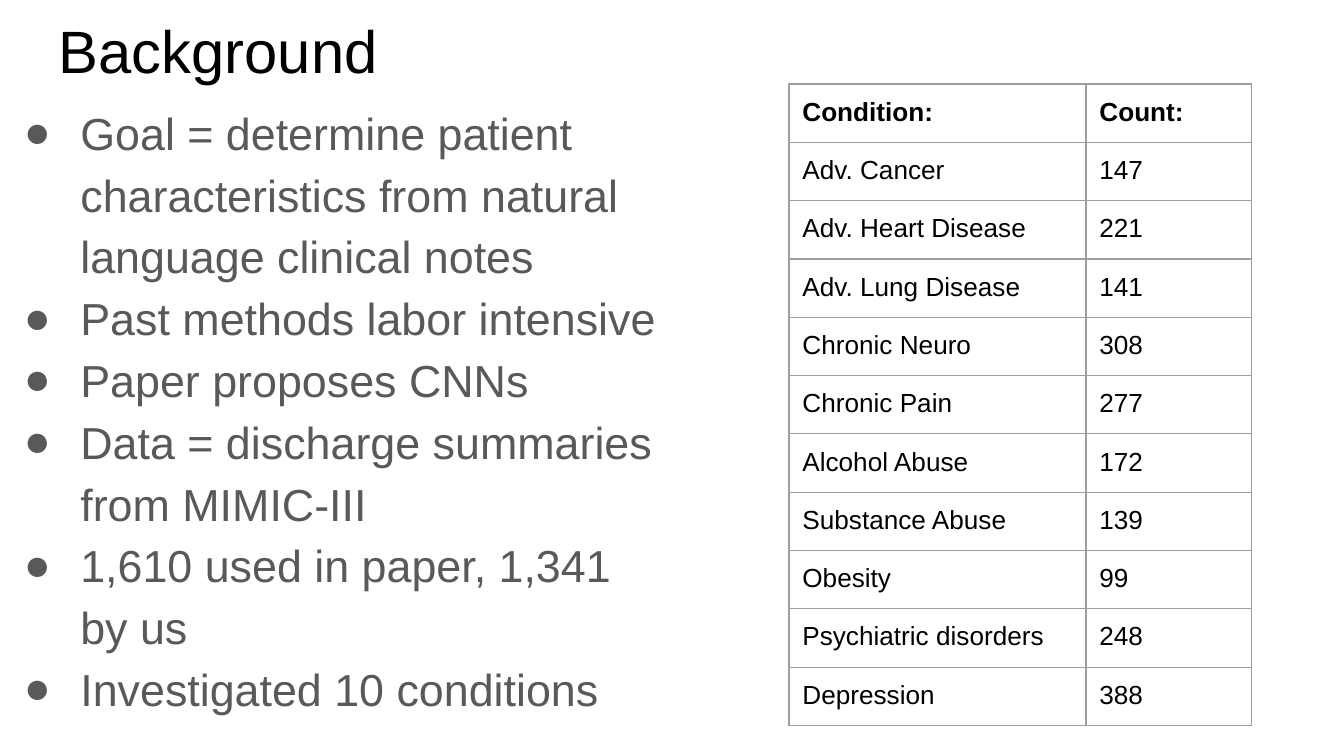
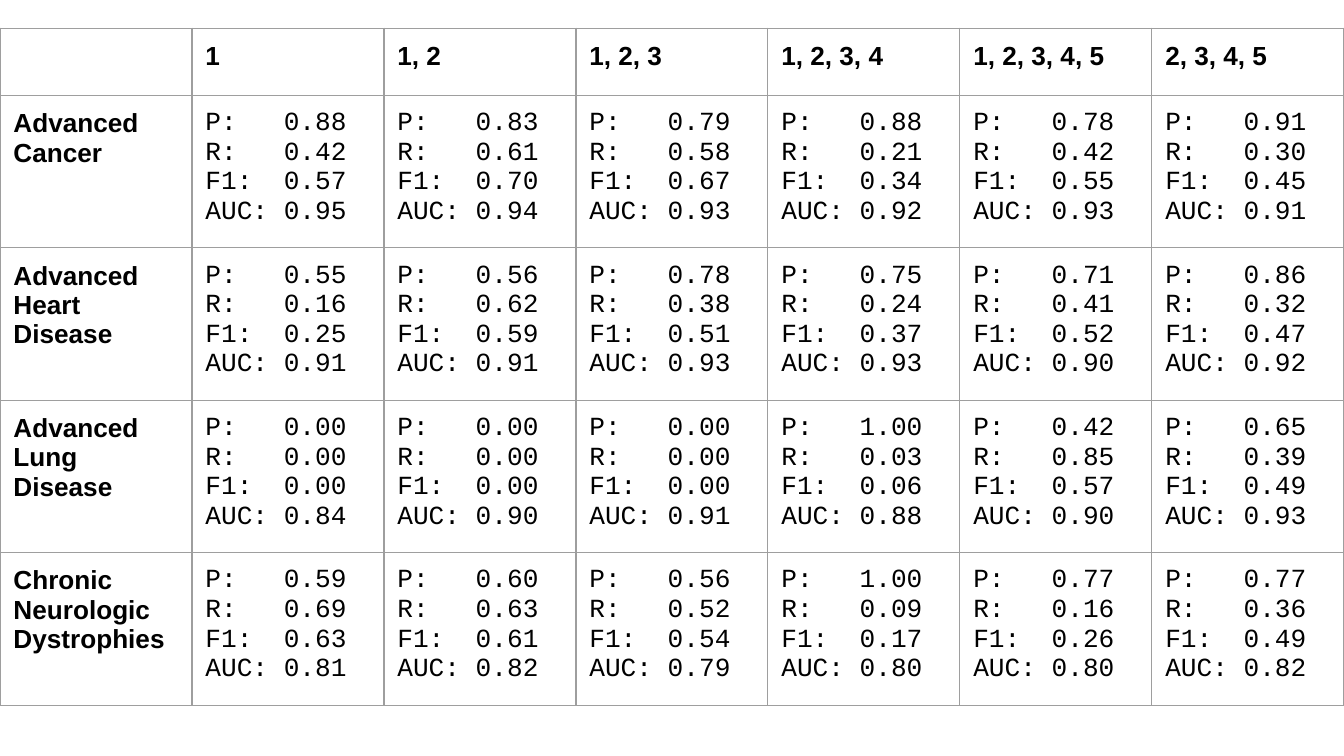
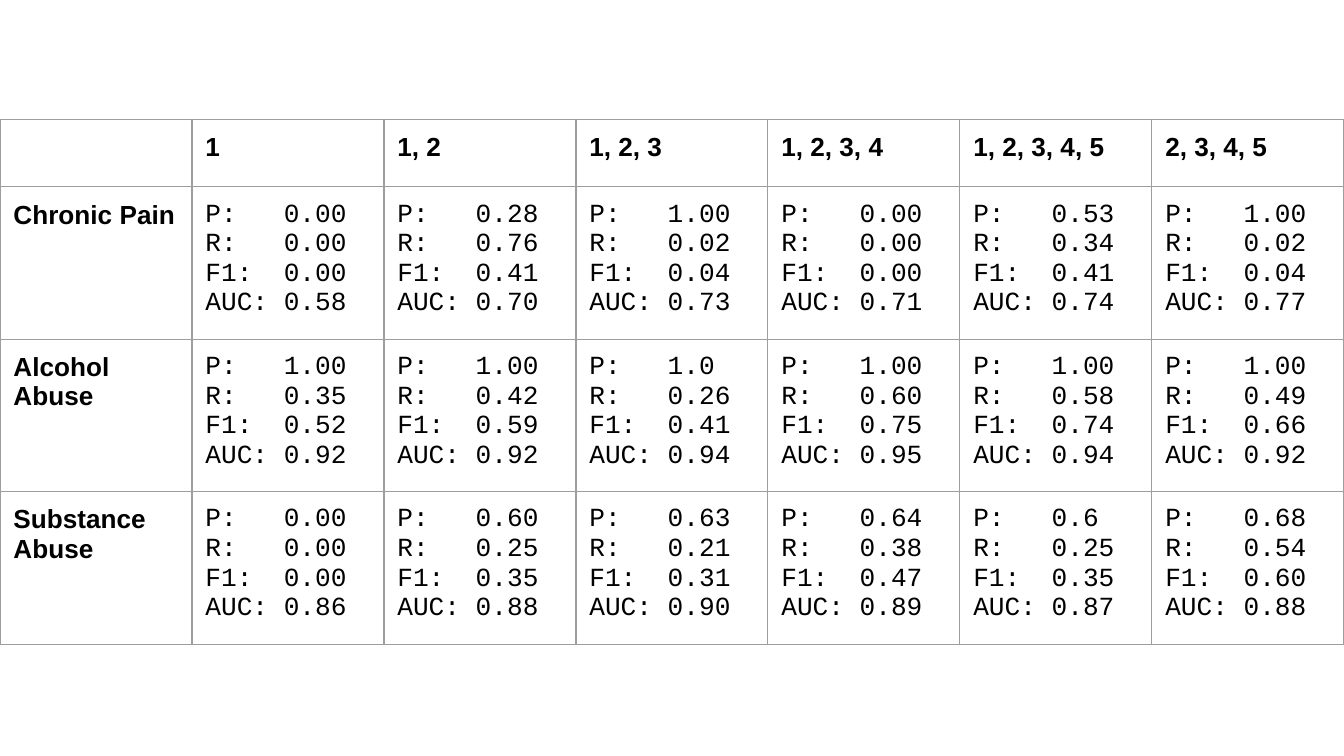
from dataclasses import dataclass
from typing import Optional

from lxml.etree import SubElement
from pptx import Presentation
from pptx.dml.color import RGBColor
from pptx.oxml import parse_xml
from pptx.oxml.ns import nsdecls, qn
from pptx.util import Emu, Inches, Pt

BLACK = RGBColor(0x00, 0x00, 0x00)
GRAY = RGBColor(0x59, 0x59, 0x59)
RULE = RGBColor(0x9E, 0x9E, 0x9E)

SANS, MONO = "Arial", "Courier New"
WIDTH, HEIGHT = Inches(10), Inches(5.625)
COLS, ROWS = 100, 90
INSET = Inches(0.1)
BODY_INDENT, BODY_HANG = 5, 4.2
VALUE_TAB = 5.83  # five monospaced characters at 14 pt
METRICS = ("P:", "R:", "F1:", "AUC:")


def across(cols: float) -> Emu:
    return Emu(round(WIDTH * cols / COLS))


def down(rows: float) -> Emu:
    return Emu(round(HEIGHT * rows / ROWS))


@dataclass(frozen=True)
class Box:
    col: float
    row: float
    cols: float
    rows: float


@dataclass(frozen=True)
class Grid:
    """Place of a table, its column widths and its least row height."""
    col: float
    row: float
    widths: tuple[float, ...]
    row_height: float


@dataclass(frozen=True)
class Cell:
    lines: tuple[str, ...]
    bold: bool = False
    font: str = SANS
    tab: Optional[float] = None


TITLE = Box(3.4, 0, 46.6, 10)
BODY = Box(0, 10, 50, 80)
COUNT_GRID = Grid(58.7, 10, (22.1, 12.3), 6.69)
RESULT_WIDTHS = (COLS / 7,) * 7
RESULT_ROW = 7.2

POINTS = (
    "Goal = determine patient characteristics from natural language clinical notes",
    "Past methods labor intensive",
    "Paper proposes CNNs",
    "Data = discharge summaries from MIMIC-III",
    "1,610 used in paper, 1,341 by us",
    "Investigated 10 conditions",
)

COUNTS = (
    ("Adv. Cancer", "147"),
    ("Adv. Heart Disease", "221"),
    ("Adv. Lung Disease", "141"),
    ("Chronic Neuro", "308"),
    ("Chronic Pain", "277"),
    ("Alcohol Abuse", "172"),
    ("Substance Abuse", "139"),
    ("Obesity", "99"),
    ("Psychiatric disorders", "248"),
    ("Depression", "388"),
)

WIDTH_SETS = ("1", "1, 2", "1, 2, 3", "1, 2, 3, 4", "1, 2, 3, 4, 5", "2, 3, 4, 5")

# Each entry lists P, R, F1 and AUC for one of the sets above.
DISEASE_SCORES = {
    "Advanced Cancer": (
        "0.88 0.42 0.57 0.95", "0.83 0.61 0.70 0.94", "0.79 0.58 0.67 0.93",
        "0.88 0.21 0.34 0.92", "0.78 0.42 0.55 0.93", "0.91 0.30 0.45 0.91"),
    "Advanced Heart Disease": (
        "0.55 0.16 0.25 0.91", "0.56 0.62 0.59 0.91", "0.78 0.38 0.51 0.93",
        "0.75 0.24 0.37 0.93", "0.71 0.41 0.52 0.90", "0.86 0.32 0.47 0.92"),
    "Advanced Lung Disease": (
        "0.00 0.00 0.00 0.84", "0.00 0.00 0.00 0.90", "0.00 0.00 0.00 0.91",
        "1.00 0.03 0.06 0.88", "0.42 0.85 0.57 0.90", "0.65 0.39 0.49 0.93"),
    "Chronic Neurologic Dystrophies": (
        "0.59 0.69 0.63 0.81", "0.60 0.63 0.61 0.82", "0.56 0.52 0.54 0.79",
        "1.00 0.09 0.17 0.80", "0.77 0.16 0.26 0.80", "0.77 0.36 0.49 0.82"),
}
PAIN_ABUSE_SCORES = {
    "Chronic Pain": (
        "0.00 0.00 0.00 0.58", "0.28 0.76 0.41 0.70", "1.00 0.02 0.04 0.73",
        "0.00 0.00 0.00 0.71", "0.53 0.34 0.41 0.74", "1.00 0.02 0.04 0.77"),
    "Alcohol Abuse": (
        "1.00 0.35 0.52 0.92", "1.00 0.42 0.59 0.92", "1.0 0.26 0.41 0.94",
        "1.00 0.60 0.75 0.95", "1.00 0.58 0.74 0.94", "1.00 0.49 0.66 0.92"),
    "Substance Abuse": (
        "0.00 0.00 0.00 0.86", "0.60 0.25 0.35 0.88", "0.63 0.21 0.31 0.90",
        "0.64 0.38 0.47 0.89", "0.6 0.25 0.35 0.87", "0.68 0.54 0.60 0.88"),
}


def add_bullet(p, color: RGBColor) -> None:
    pPr = p._p.get_or_add_pPr()
    pPr.set("marL", str(across(BODY_INDENT)))
    pPr.set("indent", str(-across(BODY_HANG)))
    clr = SubElement(pPr, qn("a:buClr"))
    SubElement(clr, qn("a:srgbClr"), val=str(color))
    SubElement(pPr, qn("a:buFont"), typeface=SANS)
    SubElement(pPr, qn("a:buChar"), char="●")


def add_tab_stop(p, cols: float) -> None:
    tabs = SubElement(p._p.get_or_add_pPr(), qn("a:tabLst"))
    SubElement(tabs, qn("a:tab"), pos=str(across(cols)), algn="l")


def write(tf, lines: tuple[str, ...], *, size: float = 14, font: str = SANS,
          color: RGBColor = BLACK, bold: bool = False, bullet: bool = False,
          spacing: Optional[float] = None, tab: Optional[float] = None) -> None:
    """Fill a text frame with one paragraph per line."""
    for i, line in enumerate(lines):
        p = tf.add_paragraph() if i else tf.paragraphs[0]
        if spacing:
            p.line_spacing = spacing
        if bullet:
            add_bullet(p, color)
        if tab:
            add_tab_stop(p, tab)
        r = p.add_run()
        r.text = line
        r.font.name, r.font.size, r.font.bold = font, Pt(size), bold
        r.font.color.rgb = color


def set_insets(target) -> None:
    target.margin_left = target.margin_right = INSET
    target.margin_top = target.margin_bottom = INSET


def add_text_box(slide, box: Box, lines: tuple[str, ...], **fmt) -> None:
    sp = slide.shapes.add_textbox(across(box.col), down(box.row),
                                  across(box.cols), down(box.rows))
    tf = sp.text_frame
    tf.word_wrap = True
    set_insets(tf)
    write(tf, lines, **fmt)


def outline(cell) -> None:
    tcPr = cell._tc.get_or_add_tcPr()
    for i, side in enumerate(("lnL", "lnR", "lnT", "lnB")):
        tcPr.insert(i, parse_xml(
            f'<a:{side} {nsdecls("a")} w="{Pt(0.75)}"><a:solidFill>'
            f'<a:srgbClr val="{RULE}"/></a:solidFill></a:{side}>'))


def add_grid(slide, grid: Grid, rows: list[list[Cell]]) -> None:
    table = slide.shapes.add_table(
        len(rows), len(grid.widths), across(grid.col), down(grid.row),
        across(sum(grid.widths)), down(grid.row_height * len(rows))).table
    table.first_row = table.horz_banding = False
    for column, width in zip(table.columns, grid.widths):
        column.width = across(width)
    for row, cells in zip(table.rows, rows):
        row.height = down(grid.row_height)
        for cell, content in zip(row.cells, cells):
            set_insets(cell)
            cell.fill.background()
            outline(cell)
            write(cell.text_frame, content.lines, bold=content.bold,
                  font=content.font, tab=content.tab)


def heading(text: str) -> Cell:
    return Cell((text,), bold=True)


def score_cell(scores: str) -> Cell:
    lines = tuple(f"{m}\t{v}" for m, v in zip(METRICS, scores.split()))
    return Cell(lines, font=MONO, tab=VALUE_TAB)


def add_background_slide(prs) -> None:
    slide = prs.slides.add_slide(prs.slide_layouts[6])
    add_text_box(slide, TITLE, ("Background",), size=32)
    add_text_box(slide, BODY, POINTS, size=24, color=GRAY, bullet=True, spacing=1.15)
    rows = [[heading("Condition:"), heading("Count:")]]
    rows += [[Cell((text,)) for text in pair] for pair in COUNTS]
    add_grid(slide, COUNT_GRID, rows)


def add_result_slide(prs, top: float, scores: dict[str, tuple[str, ...]]) -> None:
    slide = prs.slides.add_slide(prs.slide_layouts[6])
    rows = [[Cell(())] + [heading(s) for s in WIDTH_SETS]]
    rows += [[heading(name)] + [score_cell(s) for s in values]
             for name, values in scores.items()]
    add_grid(slide, Grid(0, top, RESULT_WIDTHS, RESULT_ROW), rows)


def main() -> None:
    prs = Presentation()
    prs.slide_width, prs.slide_height = WIDTH, HEIGHT
    add_background_slide(prs)
    add_result_slide(prs, 3.36, DISEASE_SCORES)
    add_result_slide(prs, 14.24, PAIN_ABUSE_SCORES)
    prs.save("out.pptx")


if __name__ == "__main__":
    main()
